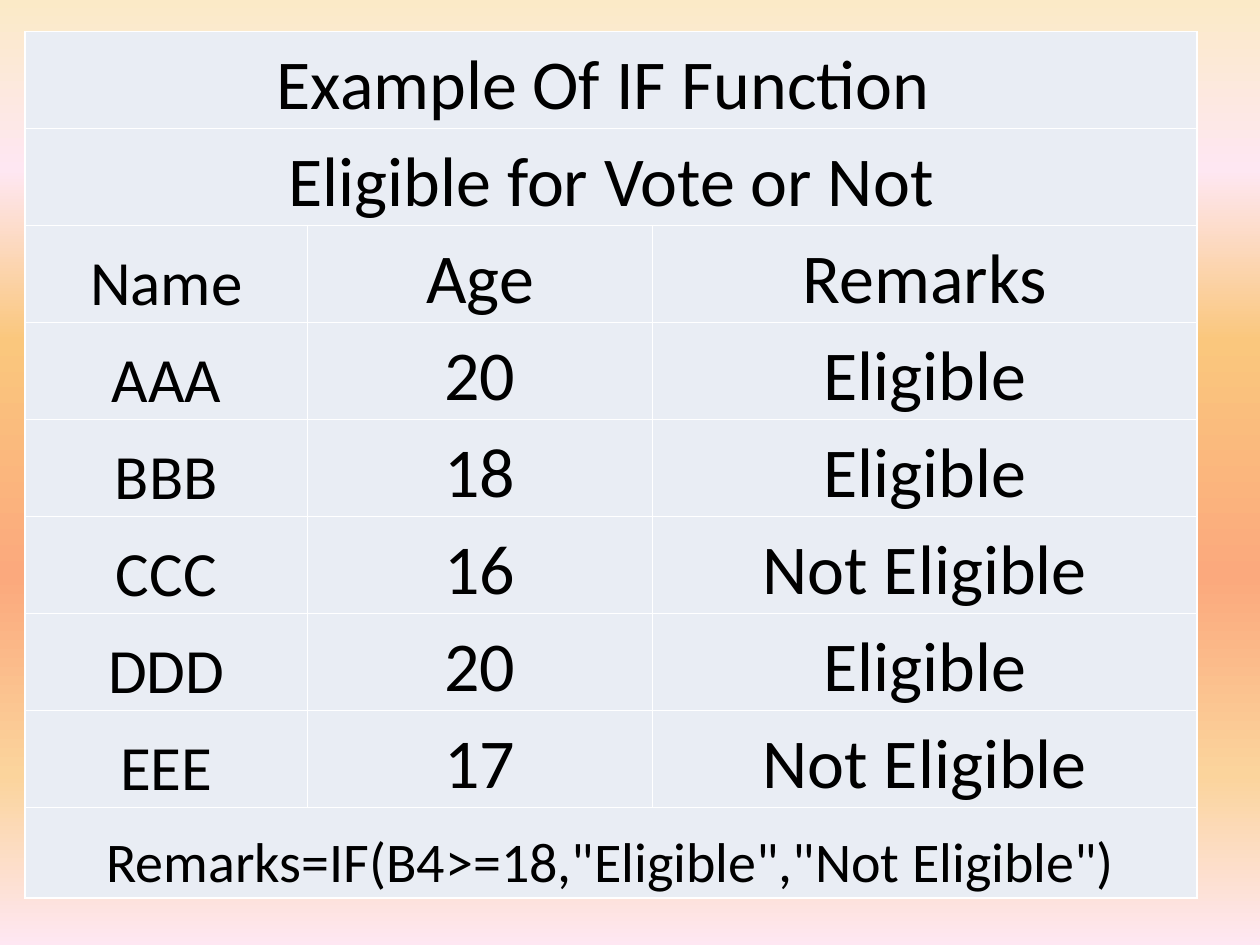
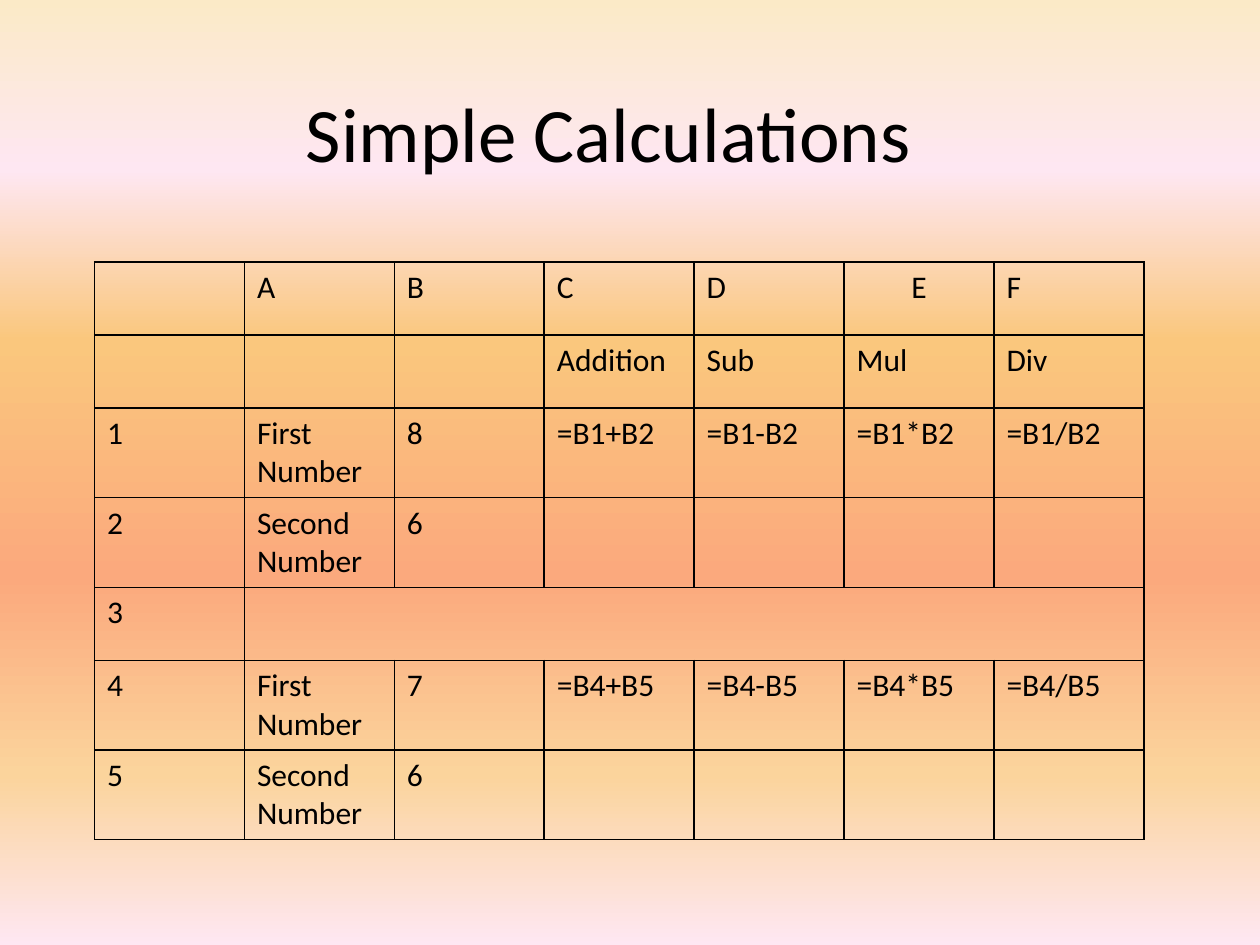
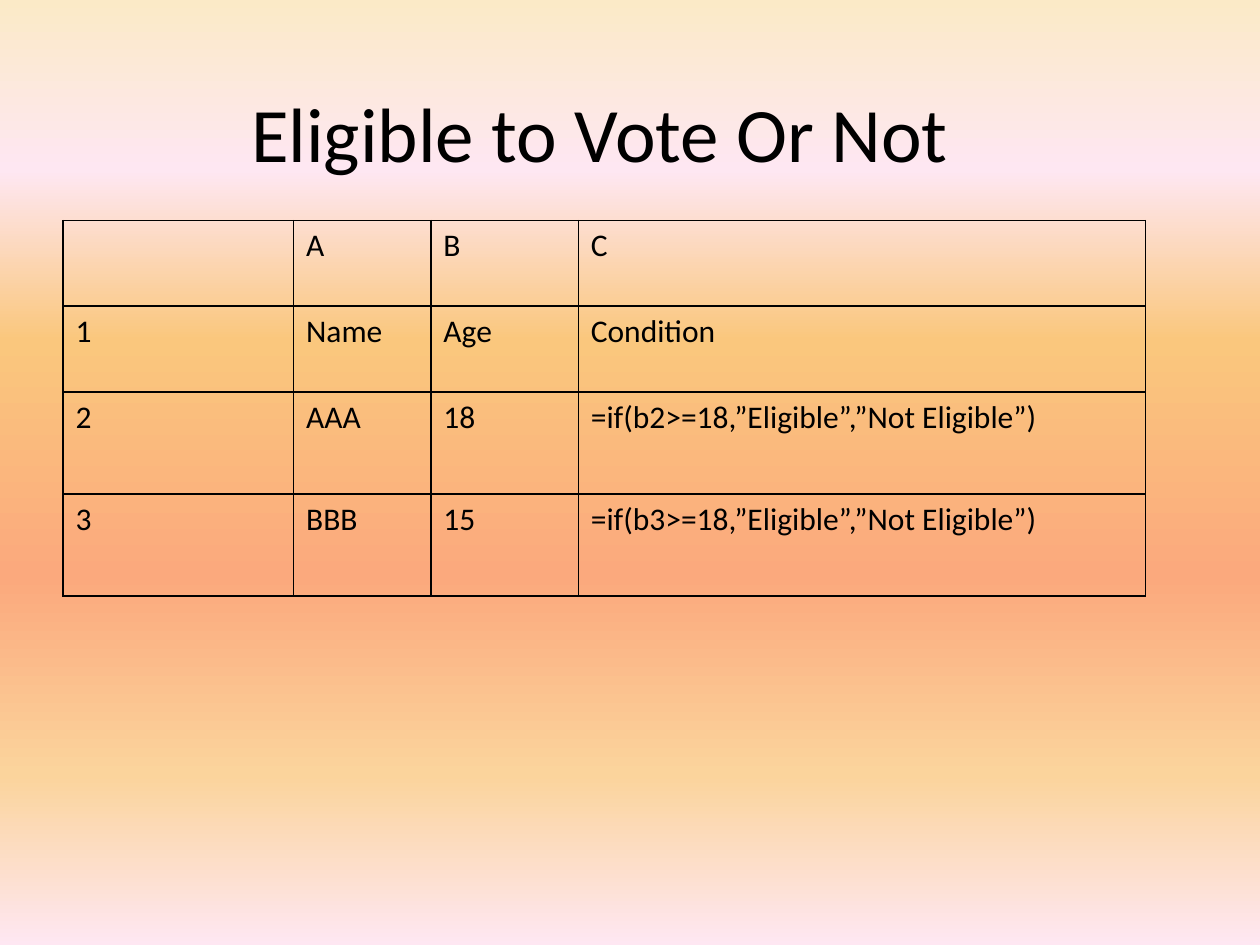
from lxml import etree
from pptx import Presentation
from pptx.dml.color import RGBColor
from pptx.enum.text import MSO_ANCHOR, PP_ALIGN
from pptx.oxml.ns import qn
from pptx.util import Inches, Pt

CENTER, LEFT = PP_ALIGN.CENTER, PP_ALIGN.LEFT
TOP, MIDDLE, BOTTOM = MSO_ANCHOR.TOP, MSO_ANCHOR.MIDDLE, MSO_ANCHOR.BOTTOM
FONT = "Calibri"
INK, WHITE, PALE_BLUE = "000000", "FFFFFF", "E9EDF4"
SUNSET = [(0, "FBEAC7"), (18, "FEE7F2"), (36, "FAC77D"),
          (61, "FBA97D"), (82, "FBD49C"), (100, "FEE7F2")]
TITLE_BOX = (0.33, 0.42, 9, 1.25)
TITLE_ONLY, BLANK = 5, 6


def color(hex_code):
    return RGBColor.from_string(hex_code)


def style_paragraph(paragraph, size, align):
    paragraph.alignment = align
    paragraph.font.name = FONT
    paragraph.font.size = Pt(size)
    paragraph.font.color.rgb = color(INK)


def paint_background(master):
    fill = master.background.fill
    fill.gradient()
    fill.gradient_angle = 270
    stops = master.element.find(".//" + qn("a:gsLst"))
    for stop in list(stops):
        stops.remove(stop)
    for percent, hex_code in SUNSET:
        stop = etree.SubElement(stops, qn("a:gs"), pos=str(percent * 1000))
        etree.SubElement(stop, qn("a:srgbClr"), val=hex_code)


def add_title(slide, heading):
    title = slide.shapes.title
    title.left, title.top, title.width, title.height = map(Inches, TITLE_BOX)
    title.text_frame.text = heading
    title.text_frame.vertical_anchor = MIDDLE
    style_paragraph(title.text_frame.paragraphs[0], 44, CENTER)


def draw_borders(cell, hex_code):
    properties = cell._tc.get_or_add_tcPr()
    for side in ("lnL", "lnR", "lnT", "lnB"):
        line = etree.SubElement(properties, qn("a:" + side), w=str(Pt(1)))
        solid = etree.SubElement(line, qn("a:solidFill"))
        etree.SubElement(solid, qn("a:srgbClr"), val=hex_code)


def add_grid(slide, left, top, widths, heights, rows, border,
             fill=None, size=18, align=LEFT, anchor=TOP, margins=None):
    table = slide.shapes.add_table(
        len(heights), len(widths), Inches(left), Inches(top),
        Inches(sum(widths)), Inches(sum(heights))).table
    table.first_row = table.horz_banding = False
    for column, width in zip(table.columns, widths):
        column.width = Inches(width)
    for row, height in zip(table.rows, heights):
        row.height = Inches(height)
    for cell in table.iter_cells():
        draw_borders(cell, border)
        if fill:
            cell.fill.solid()
            cell.fill.fore_color.rgb = color(fill)
        else:
            cell.fill.background()
        cell.vertical_anchor = anchor
        if margins:
            (cell.margin_left, cell.margin_top,
             cell.margin_right, cell.margin_bottom) = map(Inches, margins)
    last_column = len(widths) - 1
    for r, texts in enumerate(rows):
        if len(texts) <= last_column:
            table.cell(r, len(texts) - 1).merge(table.cell(r, last_column))
        for c, text in enumerate(texts):
            cell = table.cell(r, c)
            cell.text = text
            style_paragraph(cell.text_frame.paragraphs[0], size, align)
    return table


def build_if_example(slide):
    rows = [
        ("Example Of IF Function ",),
        ("Eligible for Vote or Not",),
        ("Name", "Age", "Remarks"),
        ("AAA", "20", "Eligible"),
        ("BBB", "18", "Eligible"),
        ("CCC", "16", "Not Eligible"),
        ("DDD", "20", "Eligible"),
        ("EEE", "17", "Not Eligible"),
        ('Remarks=IF(B4>=18,"Eligible","Not Eligible")',),
    ]
    voters = add_grid(slide, 0.2, 0.25, [2.24, 2.74, 4.32], [0.77] * 8 + [0.72],
                      rows, WHITE, PALE_BLUE, 40, CENTER, BOTTOM,
                      (0.01, 0.01, 0.01, 0))
    for r in range(2, 8):
        voters.cell(r, 0).text_frame.paragraphs[0].font.size = Pt(36)
    voters.cell(8, 0).text_frame.paragraphs[0].font.size = Pt(32)


def number_pair(first_row, first_value, second_value):
    a, b = f"B{first_row}", f"B{first_row + 1}"
    formulas = [f"={a}{operator}{b}" for operator in "+-*/"]
    return [
        [str(first_row), "First Number", first_value] + formulas,
        [str(first_row + 1), "Second Number", second_value] + [""] * 4,
    ]


def build_calculations(slide):
    add_title(slide, "Simple Calculations")
    rows = [
        ["", *"ABCDEF"],
        ["", "", "", "Addition", "Sub", "Mul", "Div"],
        *number_pair(1, "8", "6"),
        ["3", ""],
        *number_pair(4, "7", "6"),
    ]
    sheet = add_grid(slide, 0.75, 2.08, [1.19] * 7, [0.58] * 7, rows, INK)
    sheet.cell(0, 5).text_frame.paragraphs[0].alignment = CENTER


def build_eligibility(slide):
    add_title(slide, "Eligible to Vote Or Not ")
    rows = [
        ("", "A", "B", "C"),
        ("1", "Name", "Age", "Condition"),
        ("2", "AAA", "18", "=if(b2>=18,”Eligible”,”Not Eligible”)"),
        ("3", "BBB", "15", "=if(b3>=18,”Eligible”,”Not Eligible”)"),
    ]
    add_grid(slide, 0.5, 1.75, [1.83, 1.09, 1.17, 4.5],
             [0.68, 0.68, 0.81, 0.81], rows, INK)


def main():
    deck = Presentation()
    deck.slide_width, deck.slide_height = Inches(10), Inches(7.5)
    paint_background(deck.slide_master)
    for build, layout in ((build_if_example, BLANK),
                          (build_calculations, TITLE_ONLY),
                          (build_eligibility, TITLE_ONLY)):
        build(deck.slides.add_slide(deck.slide_layouts[layout]))
    deck.save("out.pptx")


if __name__ == "__main__":
    main()
